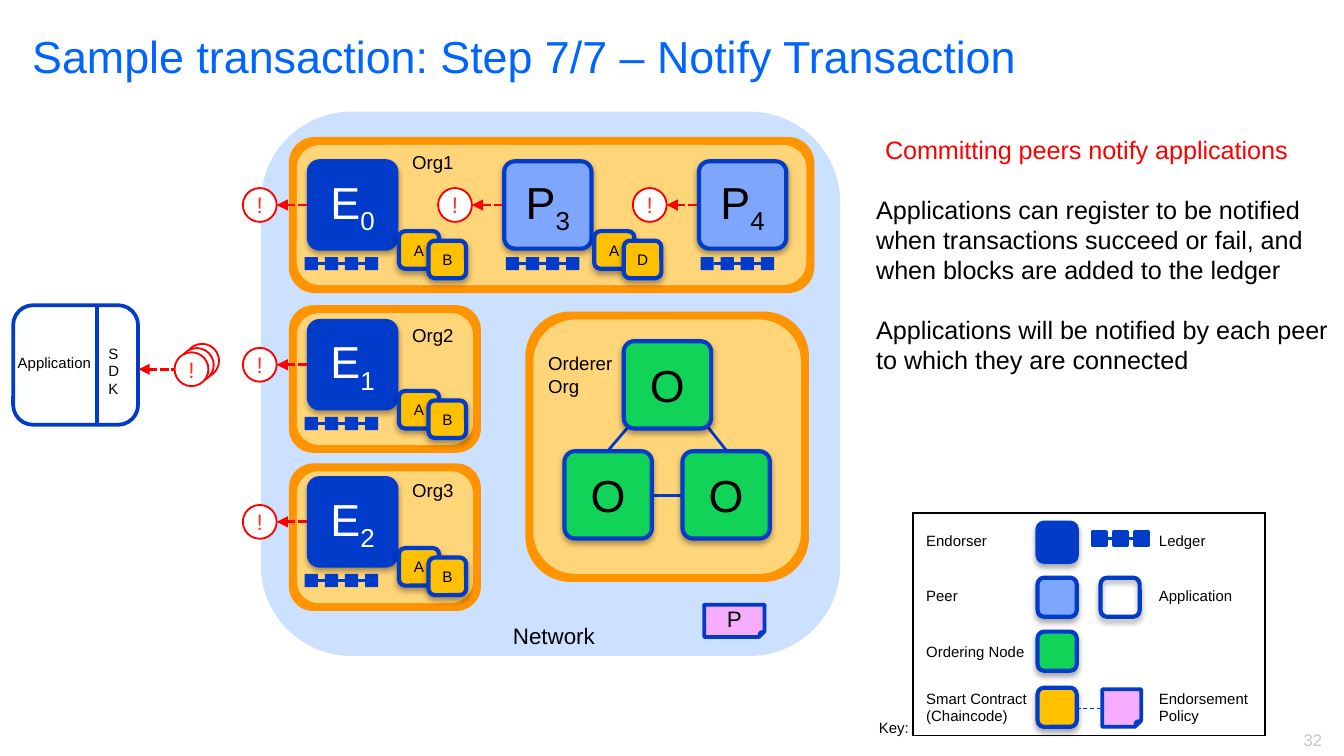
"""Build the slide on notifying applications of a committed transaction."""
from lxml.etree import SubElement
from pptx import Presentation
from pptx.dml.color import RGBColor
from pptx.enum.dml import MSO_LINE
from pptx.enum.shapes import MSO_CONNECTOR, MSO_SHAPE as Preset
from pptx.enum.text import MSO_ANCHOR as Anchor, PP_ALIGN as Align
from pptx.oxml import parse_xml
from pptx.oxml.ns import nsdecls, qn
from pptx.util import Cm, Pt

BLACK, WHITE = RGBColor(0, 0, 0), RGBColor(255, 255, 255)
BLUE, TITLE_BLUE = RGBColor(0x00, 0x3B, 0xC9), RGBColor(0x00, 0x64, 0xFF)
PEER_BLUE, PALE_BLUE = RGBColor(0x7D, 0xA6, 0xFC), RGBColor(0xCC, 0xE0, 0xFF)
ORANGE, SAND = RGBColor(0xFF, 0x93, 0x00), RGBColor(0xFF, 0xD5, 0x79)
GOLD, GREEN = RGBColor(0xFF, 0xC0, 0x00), RGBColor(0x11, 0xD3, 0x58)
PINK, GREY = RGBColor(0xF7, 0xAD, 0xFF), RGBColor(0xC6, 0xC6, 0xC6)
RED, BANG_RED = RGBColor(255, 0, 0), RGBColor(0xFF, 0x32, 0x20)

ORG_FRAMES = [
    (9.93, 5.89, 5.36, 5.11),
    (5.46, 2.59, 9.93, 2.95),
    (5.46, 5.77, 3.63, 2.79),
    (5.46, 8.76, 3.63, 2.79),
]
PEERS = [
    ("E", "0", 5.84, 3.05, "AB"),
    ("E", "1", 5.84, 6.07, "AB"),
    ("E", "2", 5.84, 9.04, "AB"),
    ("P", "3", 9.53, 3.05, "AD"),
    ("P", "4", 13.21, 3.05, ""),
]
PEER_LOOKS = {"E": (BLUE, WHITE, -0.08), "P": (PEER_BLUE, BLACK, 0.03)}
ORDERERS = [(11.79, 6.45), (10.67, 8.53), (12.9, 8.53)]
ORDERER_LINKS = [
    (12.32, 9.37, 12.9, 9.37),
    (11.89, 8.05, 11.48, 8.53),
    (13.36, 8.05, 13.74, 8.53),
]
LABELS = [
    ("Sample transaction: Step 7/7 – Notify Transaction",
     (0.36, 0.41, 21.59, 2.82), 24, TITLE_BLUE, Align.LEFT),
    ("Org1", (7.54, 2.72, 1.32, 0.69), 10, BLACK, Align.LEFT),
    ("Org2", (7.54, 5.99, 1.32, 0.69), 10, BLACK, Align.LEFT),
    ("Org3", (7.54, 8.92, 1.32, 0.69), 10, BLACK, Align.LEFT),
    ("Orderer\vOrg", (10.11, 6.53, 1.73, 1.12), 10, BLACK, Align.LEFT),
    ("Network", (9.02, 11.63, 2.9, 0.76), 12, BLACK, Align.CENTER),
    ("Application", (0, 6.55, 2.06, 0.61), 8, BLACK, Align.CENTER),
    ("SDK", (1.8, 6.38, 0.76, 1.27), 8, BLACK, Align.LEFT),
    ("Key:", (16.36, 13.46, 1.15, 0.61), 8, BLACK, Align.LEFT),
    ("32", (23.77, 13.67, 1.47, 0.64), 9, GREY, Align.RIGHT),
]
HEADLINE = "Committing peers notify applications"
EXPLANATION = [
    "Applications can register to be notified when transactions succeed or fail, "
    "and when blocks are added to the ledger",
    "Applications will be notified by each peer to which they are connected",
]
KEY_ROWS = [
    ("Endorser", "Ledger"),
    ("Peer", "Application"),
    ("Ordering Node", ""),
    ("Smart Contract\n(Chaincode)", "Endorsement Policy"),
]
KEY_COLUMNS = [2.64, 0.69, 1.07, 2.26]
KEY_ROW_HEIGHT = 1.05
KEY_SWATCHES = [
    (19.61, 9.88, BLUE), (19.61, 10.92, PEER_BLUE), (19.61, 11.94, GREEN),
    (19.61, 13.0, GOLD), (20.8, 10.92, None),
]
NODE, BANG, BLOCK = 1.65, 0.64, 0.25
NO_MARGINS = dict.fromkeys(
    ("margin_left", "margin_top", "margin_right", "margin_bottom"), 0)

deck = Presentation()
deck.slide_width, deck.slide_height = Cm(25.4), Cm(14.29)
slide = deck.slides.add_slide(deck.slide_layouts[6])


def apply(target, formats):
    for name, value in formats.items():
        setattr(target, name, value)


def write(paragraph, text, size, color, align=Align.LEFT, subscript=""):
    paragraph.alignment = align
    paragraph.text = text
    if subscript:
        lowered = paragraph.add_run()
        lowered.text = subscript
        lowered._r.get_or_add_rPr().set("baseline", "-25000")
    for run in paragraph.runs:
        apply(run.font, {"name": "Arial", "size": Pt(size)})
        run.font.color.rgb = color


def add_label(text, box, size, color, align):
    frame = slide.shapes.add_textbox(*map(Cm, box)).text_frame
    frame.word_wrap = True
    write(frame.paragraphs[0], text, size, color, align)
    return frame


def add_part(preset, box, fill, line=None, width=2.25, text="", size=24,
             color=BLACK, subscript="", corner=None, shadow=False):
    part = slide.shapes.add_shape(preset, *map(Cm, box))
    part.shadow.inherit = False
    if shadow:
        part._element.spPr.find(qn("a:effectLst")).append(parse_xml(
            f'<a:outerShdw {nsdecls("a")} blurRad="40000" dist="23000" dir="5400000" '
            'rotWithShape="0"><a:srgbClr val="000000"><a:alpha val="35000"/>'
            '</a:srgbClr></a:outerShdw>'))
    for paint, tint in ((part.fill, fill), (part.line.fill, line)):
        if tint is None:
            paint.background()
        else:
            paint.solid()
            paint.fore_color.rgb = tint
    if line is not None:
        part.line.width = Pt(width)
    if corner:
        part.adjustments[0] = corner
    if text:
        apply(part.text_frame, {**NO_MARGINS, "vertical_anchor": Anchor.MIDDLE})
        write(part.text_frame.paragraphs[0], text, size, color, Align.CENTER, subscript)


def add_line(ends, color=BLUE, width=1.5, dash=None, arrow=False):
    link = slide.shapes.add_connector(MSO_CONNECTOR.STRAIGHT, *map(Cm, ends))
    link.line.color.rgb = color
    apply(link.line, {"width": Pt(width), "dash_style": dash})
    if arrow:
        SubElement(link.line._get_or_add_ln(), qn("a:headEnd"), type="triangle")
    SubElement(link._element.spPr, qn("a:effectLst"))


def add_node(x, y, fill, **text):
    add_part(Preset.ROUNDED_RECTANGLE, (x, y, NODE, NODE), fill, BLUE,
             corner=0.12, shadow=True, **text)


def add_ledger(x, y, count, pitch, line=None):
    middle = y + BLOCK / 2
    for i in range(count):
        add_part(Preset.RECTANGLE, (x + i * pitch, y, BLOCK, BLOCK), BLUE, line, 2)
    add_line((x + BLOCK, middle, x + (count - 1) * pitch, middle))


def add_bang(x, y, text="!"):
    add_part(Preset.OVAL, (x, y, BANG, BANG), WHITE, RED, 1, text, 12, BANG_RED)


def add_notice(tip, tail, y):
    add_line((tip, y, tail, y), RED, dash=MSO_LINE.SQUARE_DOT, arrow=True)


def add_key():
    grid = slide.shapes.add_table(
        len(KEY_ROWS), len(KEY_COLUMNS), Cm(17.25), Cm(9.7),
        Cm(sum(KEY_COLUMNS)), Cm(KEY_ROW_HEIGHT * len(KEY_ROWS))).table
    apply(grid, {"first_row": False, "horz_banding": False})
    grid._tbl.tblPr.find(qn("a:tableStyleId")).text = "{2D5ABB26-0587-4C30-8999-92F81FD0307C}"
    for column, width in zip(grid.columns, KEY_COLUMNS):
        column.width = Cm(width)
    last_row, last_column = len(KEY_ROWS) - 1, len(KEY_COLUMNS) - 1
    for r, (left, right) in enumerate(KEY_ROWS):
        grid.rows[r].height = Cm(KEY_ROW_HEIGHT)
        for c, text in enumerate((left, "", "", right)):
            cell = grid.cell(r, c)
            cell.vertical_anchor = Anchor.MIDDLE
            cell.fill.background()
            cell.text = text
            for paragraph in cell.text_frame.paragraphs:
                paragraph.font.size = Pt(8)
                write(paragraph, paragraph.text, 8, BLACK)
            edges = {"L": c == 0, "R": c == last_column, "T": r == 0, "B": r == last_row}
            borders = [parse_xml(
                f'<a:ln{side} {nsdecls("a")} w="12700"><a:solidFill>'
                f'<a:srgbClr val="{BLACK}"/></a:solidFill></a:ln{side}>')
                for side, outer in edges.items() if outer]
            for place, border in enumerate(borders):
                cell._tc.get_or_add_tcPr().insert(place, border)


add_part(Preset.ROUNDED_RECTANGLE, (4.93, 2.11, 10.95, 10.29), PALE_BLUE)
for x, y, w, h in ORG_FRAMES:
    for inset, fill in ((0, ORANGE), (0.15, SAND)):
        add_part(Preset.ROUNDED_RECTANGLE,
                 (x + inset, y + inset, w - 2 * inset, h - 2 * inset), fill)

for kind, number, x, y, contracts in PEERS:
    fill, color, ledger_shift = PEER_LOOKS[kind]
    add_node(x, y, fill, text=kind, subscript=number, color=color)
    for i, contract in enumerate(contracts):
        add_part(Preset.ROUNDED_RECTANGLE,
                 (x + 1.7 + 0.56 * i, y + 1.32 + 0.18 * i, 0.76 - 0.05 * i, 0.71),
                 GOLD, BLUE, text=contract, size=8.2, shadow=True)
    add_ledger(x + ledger_shift, y + 1.81, 4, 0.38)
    add_notice(x - 1.25 + BANG, x, y + NODE / 2)
    add_bang(x - 1.25, y + (NODE - BANG) / 2)

for ends in ORDERER_LINKS:
    add_line(ends)
for x, y in ORDERERS:
    add_node(x, y, GREEN, text="O")
add_part(Preset.FOLDED_CORNER, (13.31, 11.43, 1.14, 0.61), PINK, BLUE, 2, "P", 12)

add_part(Preset.ROUNDED_RECTANGLE, (0.25, 5.77, 2.36, 2.26), None, BLUE, 2)
add_line((1.83, 5.77, 1.83, 8.03), width=2.25)
for i, text in enumerate(("", "", "!")):
    add_bang(3.5 - 0.1 * i, 6.5 + 0.08 * i, text)
add_notice(2.62, 3.3, 6.98)

add_key()
for x, y, fill in KEY_SWATCHES:
    add_part(Preset.ROUNDED_RECTANGLE, (x, y, 0.74, 0.74), fill, BLUE, shadow=True)
add_line((20.35, 13.39, 21.1, 13.39), width=0.5, dash=MSO_LINE.DASH)
add_part(Preset.FOLDED_CORNER, (20.83, 13.03, 0.74, 0.71), PINK, BLUE, 2)
add_ledger(20.65, 10.06, 3, 0.4, BLUE)

for label in LABELS:
    add_label(*label)
story = add_label(HEADLINE, (15.67, 2.41, 9.73, 4.88), 13.5, RED, Align.CENTER)
for text in EXPLANATION:
    paragraph = story.add_paragraph()
    paragraph.space_before = Pt(16)
    paragraph._p.get_or_add_pPr().set("marL", str(Cm(0.64)))
    write(paragraph, text, 13.5, BLACK)

deck.save("out.pptx")
